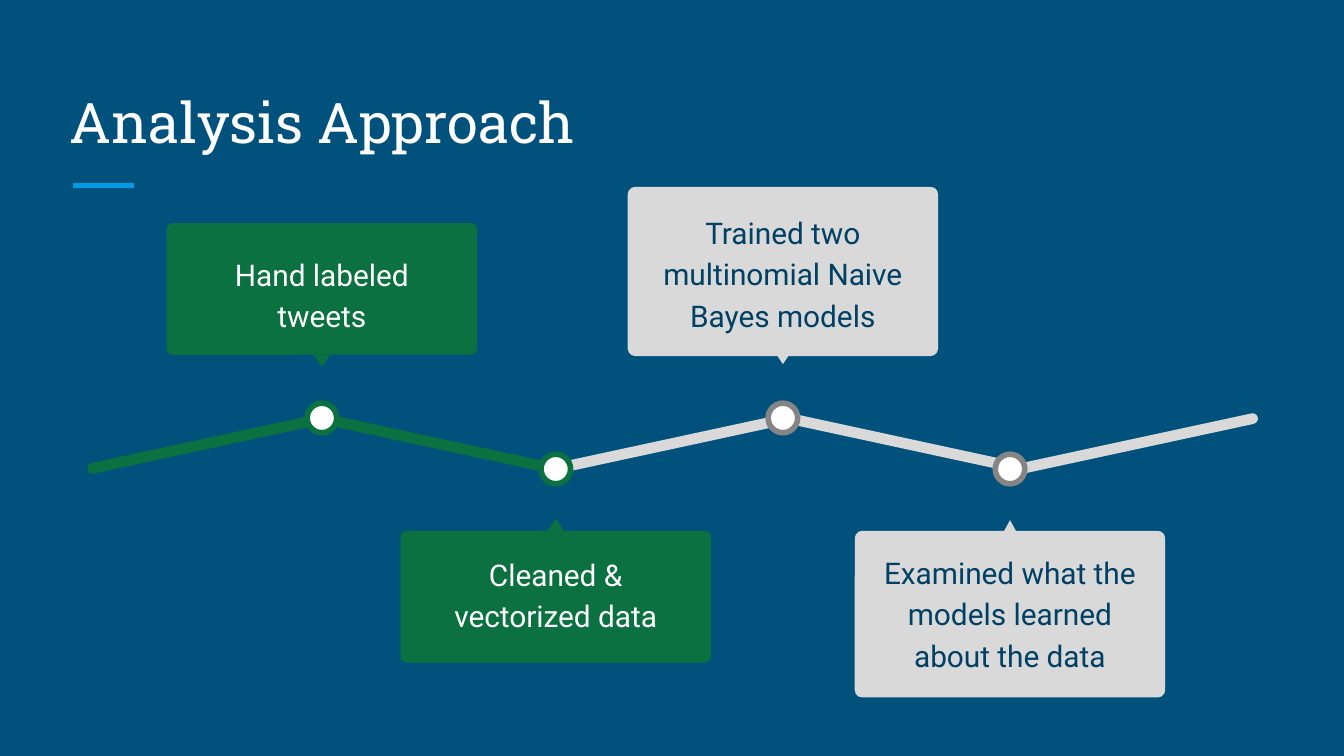
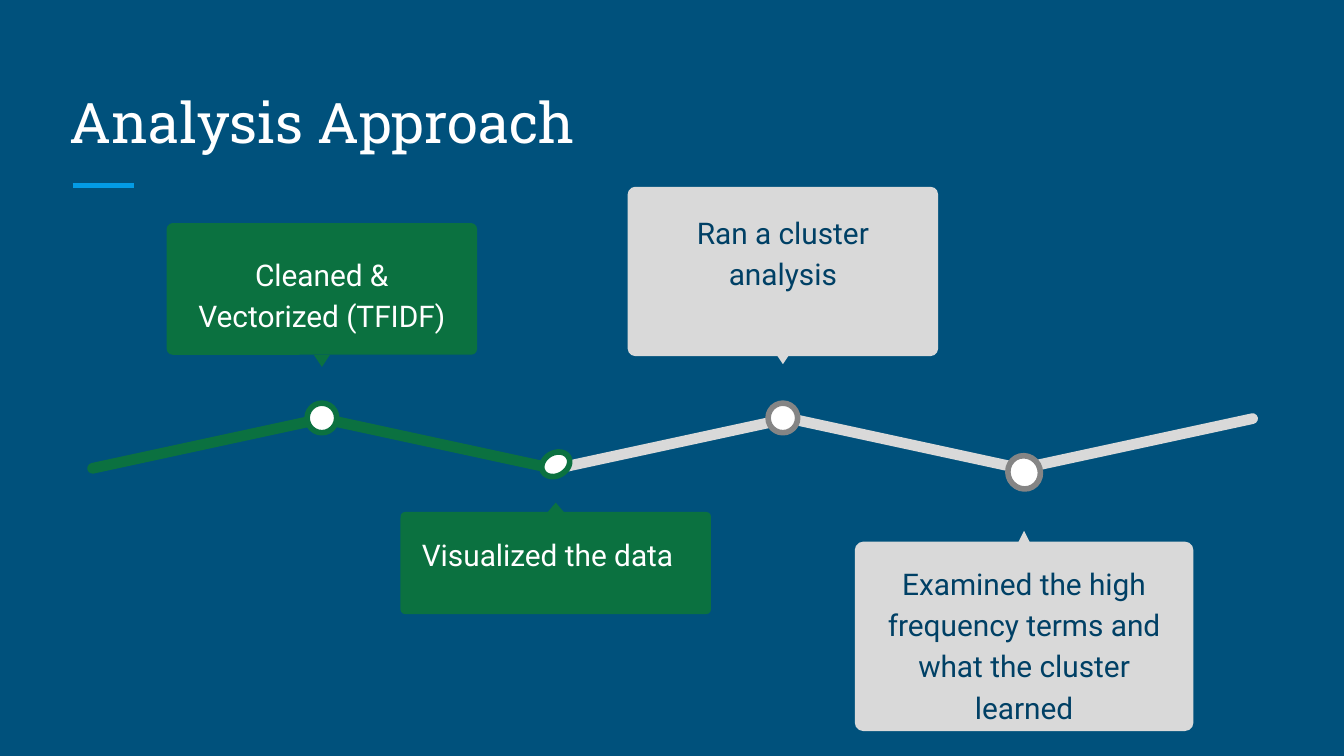
from dataclasses import dataclass, replace
from typing import NamedTuple

from lxml import etree
from pptx import Presentation
from pptx.dml.color import RGBColor
from pptx.enum.shapes import MSO_CONNECTOR, MSO_SHAPE
from pptx.enum.text import MSO_ANCHOR, MSO_AUTO_SIZE, PP_ALIGN
from pptx.oxml.ns import qn
from pptx.util import Emu, Pt

ROUNDED = MSO_SHAPE.ROUNDED_RECTANGLE
OVAL = MSO_SHAPE.OVAL
TRIANGLE = MSO_SHAPE.ISOSCELES_TRIANGLE
STRAIGHT = MSO_CONNECTOR.STRAIGHT
LEFT, CENTER = PP_ALIGN.LEFT, PP_ALIGN.CENTER
TOP, BOTTOM = MSO_ANCHOR.TOP, MSO_ANCHOR.BOTTOM
NO_AUTOFIT = MSO_AUTO_SIZE.NONE
TITLE_ONLY = 5
PX = 4572


def px(n: int) -> Emu:
    return Emu(n * PX)


class Tone(NamedTuple):
    fill: str
    ring: str
    text: str


@dataclass(frozen=True)
class Theme:
    background: str = "00517C"
    accent: str = "039BE5"
    white: str = "FFFFFF"
    green: Tone = Tone("0B7140", "0B7140", "FFFFFF")
    grey: Tone = Tone("D9D9D9", "858585", "004065")
    title_font: str = "Roboto Slab"
    body_font: str = "Roboto"
    title_size: int = 30
    body_size: int = 16
    line_width: int = 3


THEME = Theme()


class Box(NamedTuple):
    left: int
    top: int
    width: int
    height: int


class Size(NamedTuple):
    width: int
    height: int


class Row(NamedTuple):
    top: int
    width: int
    height: int

    def centred(self, cx: int) -> Box:
        return Box(cx - self.width // 2, *self)


@dataclass(frozen=True)
class Step:
    text: str
    tone: Tone
    cx: int
    dot_cy: int
    dot: Size
    panel: Row
    label: Row
    tip: Row
    tip_angle: int = 0
    align: PP_ALIGN = CENTER


class Segment(NamedTuple):
    left: int
    tone: Tone
    angle: float


SLIDE = Size(2000, 1125)
TITLE_BOX = Box(84, 100, 1830, 150)
RULE_LEFT, RULE_RIGHT, RULE_Y = 108, 200, 276
INSET = 20
SEGMENT = Row(652, 366, 16)
SLOPE = 12.2
DOT_ANGLE = 330.2
DOT = Size(44, 44)

SEGMENTS = [
    Segment(left, tone, SLOPE if i % 2 else -SLOPE)
    for i, (left, tone) in enumerate([
        (126, THEME.green), (468, THEME.green), (818, THEME.grey),
        (1164, THEME.grey), (1510, THEME.grey),
    ])
]

MODEL_STEPS = [
    Step("Hand labeled tweets", THEME.green, 479, 622, DOT,
         Row(332, 462, 196), Row(354, 438, 174), Row(528, 24, 18), 180),
    Step("Cleaned & vectorized data", THEME.green, 827, 698, DOT,
         Row(790, 462, 196), Row(800, 438, 174), Row(772, 24, 18)),
    Step("Trained two multinomial Naive Bayes models", THEME.grey, 1165, 622, DOT,
         Row(278, 462, 252), Row(292, 438, 224), Row(524, 24, 18), 180),
    Step("Examined what the models learned about the data", THEME.grey, 1503, 698, DOT,
         Row(790, 462, 248), Row(798, 462, 234), Row(774, 24, 22)),
]

labeled, cleaned, trained, examined = MODEL_STEPS
CLUSTER_STEPS = [
    replace(labeled, text="Cleaned & Vectorized (TFIDF)"),
    replace(cleaned, text="Visualized the data", dot_cy=691, dot=Size(44, 34),
            panel=Row(762, 462, 152), label=Row(770, 438, 90),
            tip=Row(748, 24, 14), align=LEFT),
    replace(trained, text="Ran a cluster analysis"),
    replace(examined, text="Examined the high frequency terms and what the cluster learned",
            cx=1524, dot_cy=703, dot=Size(48, 50), panel=Row(806, 504, 282),
            label=Row(814, 504, 264), tip=Row(790, 26, 26)),
]


def rgb(color: str) -> RGBColor:
    return RGBColor.from_string(color)


def emu(box: Box) -> list[Emu]:
    return [px(n) for n in box]


def add_shape(shapes, kind: MSO_SHAPE, box: Box, fill: str,
              angle: float = 0, ring: str | None = None):
    s = shapes.add_shape(kind, *emu(box))
    s.shadow.inherit = False
    s.rotation = angle
    s.fill.solid()
    s.fill.fore_color.rgb = rgb(fill)
    if ring:
        s.line.color.rgb = rgb(ring)
        s.line.width = Pt(THEME.line_width)
    else:
        s.line.fill.background()
    return s


def set_text(sp, text: str, font: str, size: int, color: str,
             align: PP_ALIGN, anchor: MSO_ANCHOR):
    tf = sp.text_frame
    tf.text = text
    tf.word_wrap = True
    tf.auto_size = NO_AUTOFIT
    tf.vertical_anchor = anchor
    tf.margin_left = tf.margin_right = px(INSET)
    tf.margin_top = tf.margin_bottom = px(INSET)
    p = tf.paragraphs[0]
    p.alignment = align
    r = p.runs[0]
    r.font.name = font
    r.font.size = Pt(size)
    r.font.color.rgb = rgb(color)
    return p


def add_title(slide, text: str) -> None:
    sp = slide.shapes.title
    sp.left, sp.top, sp.width, sp.height = emu(TITLE_BOX)
    set_text(sp, text, THEME.title_font, THEME.title_size, THEME.white, LEFT, BOTTOM)
    rule = slide.shapes.add_connector(
        STRAIGHT, px(RULE_LEFT), px(RULE_Y), px(RULE_RIGHT), px(RULE_Y))
    rule.line.color.rgb = rgb(THEME.accent)
    rule.line.width = Pt(THEME.line_width)
    etree.SubElement(rule._element.spPr, qn("a:effectLst"))


def add_segment(slide, segment: Segment) -> None:
    s = add_shape(slide.shapes, ROUNDED, Box(segment.left, *SEGMENT),
                  segment.tone.fill, segment.angle)
    s.adjustments[0] = 0.5


def add_step(slide, step: Step) -> None:
    shapes = slide.shapes.add_group_shape().shapes
    dot = Row(step.dot_cy - step.dot.height // 2, *step.dot)
    add_shape(shapes, OVAL, dot.centred(step.cx), THEME.white, DOT_ANGLE, step.tone.ring)
    panel = add_shape(shapes, ROUNDED, step.panel.centred(step.cx), step.tone.fill)
    panel.adjustments[0] = 0.045
    add_shape(shapes, TRIANGLE, step.tip.centred(step.cx), step.tone.fill, step.tip_angle)
    label = shapes.add_textbox(*emu(step.label.centred(step.cx)))
    p = set_text(label, step.text, THEME.body_font, THEME.body_size,
                 step.tone.text, step.align, TOP)
    p.line_spacing = 1.15
    p.space_after = Pt(THEME.body_size)


def add_timeline_slide(prs, title: str, steps: list[Step]) -> None:
    slide = prs.slides.add_slide(prs.slide_layouts[TITLE_ONLY])
    add_title(slide, title)
    for segment in reversed(SEGMENTS):
        add_segment(slide, segment)
    for step in reversed(steps):
        add_step(slide, step)


def main() -> None:
    prs = Presentation()
    prs.slide_width, prs.slide_height = px(SLIDE.width), px(SLIDE.height)
    fill = prs.slide_master.background.fill
    fill.solid()
    fill.fore_color.rgb = rgb(THEME.background)
    for steps in (MODEL_STEPS, CLUSTER_STEPS):
        add_timeline_slide(prs, "Analysis Approach", steps)
    prs.save("out.pptx")


if __name__ == "__main__":
    main()
